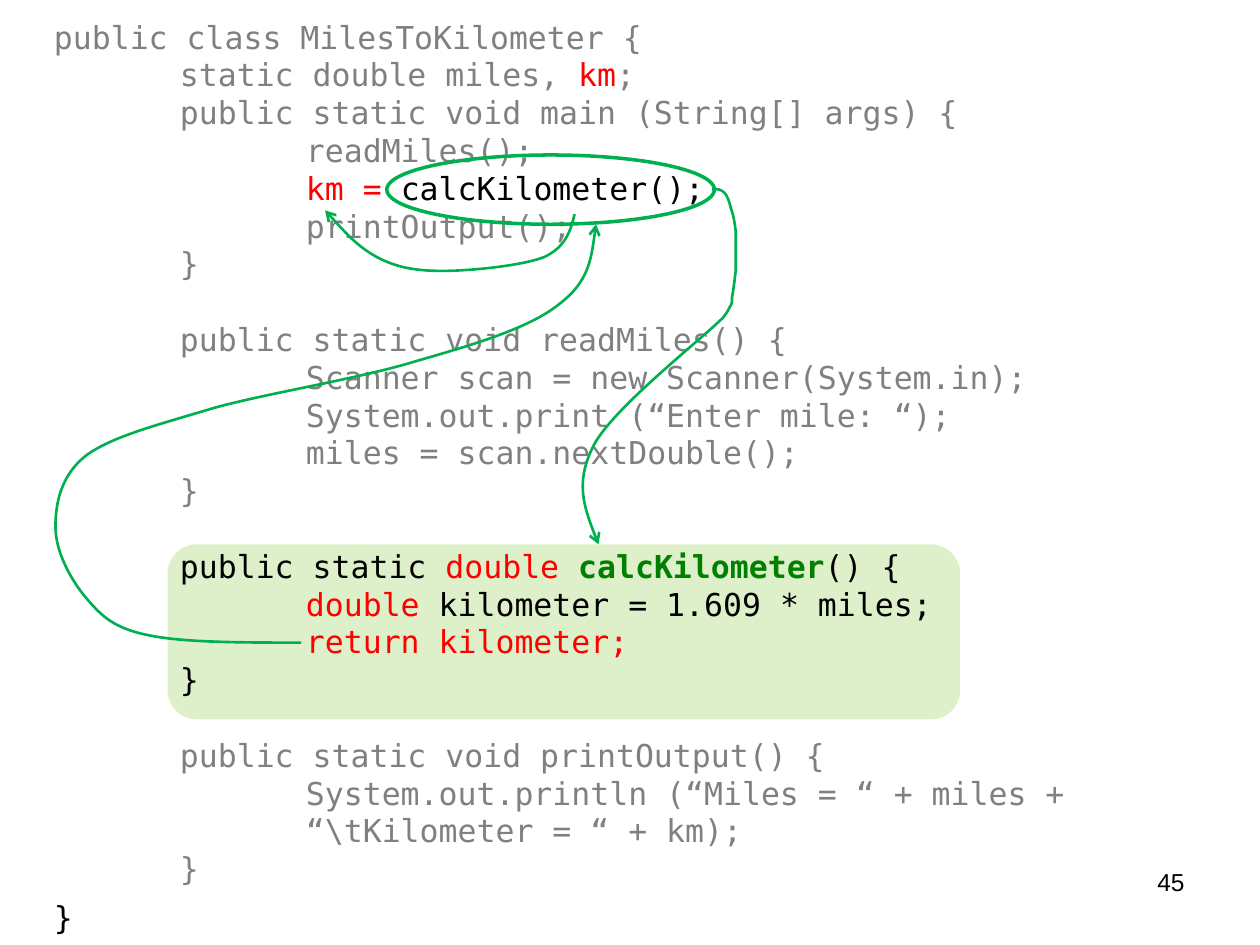
from lxml import etree
from pptx import Presentation
from pptx.dml.color import RGBColor
from pptx.enum.shapes import MSO_SHAPE
from pptx.enum.text import PP_ALIGN
from pptx.oxml.ns import qn
from pptx.util import Inches, Pt

ROUNDED, OVAL = MSO_SHAPE.ROUNDED_RECTANGLE, MSO_SHAPE.OVAL
LEFT, RIGHT = PP_ALIGN.LEFT, PP_ALIGN.RIGHT

GRAY = RGBColor(0x80, 0x80, 0x80)
RED = RGBColor(0xFF, 0x00, 0x00)
BLACK = RGBColor(0x00, 0x00, 0x00)
DARK_GREEN = RGBColor(0x00, 0x80, 0x00)
FLOW_GREEN = RGBColor(0x00, 0xB0, 0x50)
LIME = RGBColor(0x92, 0xD0, 0x50)

CODE_FONT = "DejaVu Sans Mono"
LINE_PITCH = 21.6
LAST_PITCH = 28

# Code blocks, separated by one empty line; each line is (indent, parts),
# and each part is (text, colour)
CODE_BLOCKS = [
    [
        (0, [("public class MilesToKilometer {", GRAY)]),
        (1, [("static double miles, ", GRAY), ("km", RED), (";", GRAY)]),
        (1, [("public static void main (String[] args) {", GRAY)]),
        (2, [("readMiles();", GRAY)]),
        (2, [("km = ", RED), ("calcKilometer();", BLACK)]),
        (2, [("printOutput();", GRAY)]),
        (1, [("}", GRAY)]),
    ],
    [
        (1, [("public static void readMiles() {", GRAY)]),
        (2, [("Scanner scan = new Scanner(System.in);", GRAY)]),
        (2, [("System.out.print (“Enter mile: “);", GRAY)]),
        (2, [("miles = scan.nextDouble();", GRAY)]),
        (1, [("}", GRAY)]),
    ],
    [
        (1, [("public static ", BLACK), ("double ", RED),
             ("calcKilometer", DARK_GREEN), ("() {", BLACK)]),
        (2, [("double", RED), (" kilometer = 1.609 * miles;", BLACK)]),
        (2, [("return kilometer;", RED)]),
        (1, [("}", BLACK)]),
    ],
    [
        (1, [("public static void printOutput() {", GRAY)]),
        (2, [("System.out.println (“Miles = “ + miles +", GRAY)]),
        (2, [("“\\tKilometer = “ + km);", GRAY)]),
        (1, [("}", GRAY)]),
        (0, [("}", BLACK)]),
    ],
]

# Bezier points in inches: a start, then two handles and an end per segment
CALL_CURVE = [
    (5.65, 1.5), (5.69, 1.5), (5.72, 1.5), (5.75, 1.53),
    (5.77, 1.55), (5.79, 1.6), (5.8, 1.65),
    (5.82, 1.7), (5.83, 1.76), (5.84, 1.84),
    (5.84, 1.92), (5.84, 2.05), (5.84, 2.14),
    (5.83, 2.23), (5.82, 2.31), (5.81, 2.36),
    (5.81, 2.41), (5.81, 2.41), (5.79, 2.44),
    (5.78, 2.47), (5.74, 2.52), (5.74, 2.52),
    (5.56, 2.7), (4.89, 3.22), (4.72, 3.52),
    (4.56, 3.82), (4.65, 4.07), (4.75, 4.32),
]
RETURN_CURVE = [
    (2.39, 5.1), (1.92, 5.1), (1.45, 5.1), (1.17, 5.04),
    (0.88, 4.98), (0.79, 4.87), (0.67, 4.73),
    (0.55, 4.58), (0.44, 4.37), (0.44, 4.18),
    (0.44, 4), (0.48, 3.77), (0.69, 3.61),
    (0.9, 3.46), (1.26, 3.37), (1.69, 3.24),
    (2.12, 3.12), (2.83, 3.01), (3.29, 2.87),
    (3.74, 2.74), (4.19, 2.61), (4.43, 2.42),
    (4.67, 2.24), (4.7, 2.01), (4.73, 1.78),
]
ASSIGN_CURVE = [
    (4.56, 1.7), (4.53, 1.83), (4.49, 1.96), (4.32, 2.04),
    (4.14, 2.11), (3.73, 2.15), (3.51, 2.15),
    (3.29, 2.15), (3.14, 2.12), (2.99, 2.04),
    (2.83, 1.95), (2.71, 1.81), (2.58, 1.67),
]


def add_text_frame(slide, left, top, width, height):
    box = slide.shapes.add_textbox(
        Inches(left), Inches(top), Inches(width), Inches(height))
    box.text_frame.word_wrap = True
    return box.text_frame


def write(paragraph, text, *, size=18, font=CODE_FONT, color=BLACK,
          bold=False, align=LEFT):
    paragraph.alignment = align
    run = paragraph.add_run()
    run.text = text
    run.font.size = Pt(size)
    run.font.name = font
    run.font.color.rgb = color
    run.font.bold = bold


def add_tab_stops(paragraph, count):
    """One tab stop per inch."""
    stops = etree.SubElement(paragraph._p.get_or_add_pPr(), qn("a:tabLst"))
    for inch in range(1, count + 1):
        etree.SubElement(stops, qn("a:tab"), pos=str(Inches(inch)), algn="l")


def add_code(slide):
    frame = add_text_frame(slide, 0.33, 0.09, 9.37, 7.47)
    paragraph = frame.paragraphs[0]
    for block_index, block in enumerate(CODE_BLOCKS):
        for line_index, (indent, parts) in enumerate(block):
            if block_index or line_index:
                paragraph = frame.add_paragraph()
            paragraph.line_spacing = Pt(LINE_PITCH)
            if block_index and not line_index:
                paragraph.space_before = Pt(LINE_PITCH)
            if indent:
                add_tab_stops(paragraph, indent)
            for part_index, (text, color) in enumerate(parts):
                tabs = "" if part_index else "\t" * indent
                write(paragraph, tabs + text, color=color,
                      bold=color == DARK_GREEN)
    paragraph.line_spacing = Pt(LAST_PITCH)


def add_marker(slide, kind, left, top, width, height):
    marker = slide.shapes.add_shape(
        kind, Inches(left), Inches(top), Inches(width), Inches(height))
    marker.shadow.inherit = False
    return marker


def outline(shape, width):
    shape.fill.background()
    shape.line.color.rgb = FLOW_GREEN
    shape.line.width = Pt(width)


def bend(shape):
    """Turn each three straight segments into one cubic curve."""
    straight = list(shape._element.spPr.iter(qn("a:lnTo")))
    for i in range(0, len(straight), 3):
        curve = etree.Element(qn("a:cubicBezTo"))
        straight[i].addprevious(curve)
        for segment in straight[i:i + 3]:
            curve.append(segment[0])
            segment.getparent().remove(segment)


def add_flow_arrow(slide, points):
    start, *rest = [(Inches(x), Inches(y)) for x, y in points]
    builder = slide.shapes.build_freeform(*start)
    builder.add_line_segments(rest, close=False)
    arrow = builder.convert_to_shape()
    bend(arrow)
    arrow.shadow.inherit = False
    outline(arrow, 1.5)
    line = arrow._element.spPr.find(qn("a:ln"))
    etree.SubElement(line, qn("a:round"))
    etree.SubElement(line, qn("a:tailEnd"), type="arrow")


def main():
    prs = Presentation()
    prs.slide_width, prs.slide_height = Inches(10), Inches(7.5)
    slide = prs.slides.add_slide(prs.slide_layouts[6])

    # Translucent panel behind the called method
    panel = add_marker(slide, ROUNDED, 1.33, 4.32, 6.29, 1.39)
    panel.fill.solid()
    panel.fill.fore_color.rgb = LIME
    panel.line.fill.background()
    lime = panel._element.spPr.find(qn("a:solidFill"))[0]
    etree.SubElement(lime, qn("a:alpha"), val="30000")

    add_code(slide)

    # Slide number
    number = add_text_frame(slide, 7.17, 6.83, 2.33, 0.52)
    write(number.paragraphs[0], "45", size=14, font="Arial", align=RIGHT)

    # Ring around the call, then the flow of control and value
    call_ring = add_marker(slide, OVAL, 3.07, 1.23, 2.6, 0.55)
    outline(call_ring, 2)
    for curve in (CALL_CURVE, RETURN_CURVE, ASSIGN_CURVE):
        add_flow_arrow(slide, curve)

    prs.save("out.pptx")


if __name__ == "__main__":
    main()
